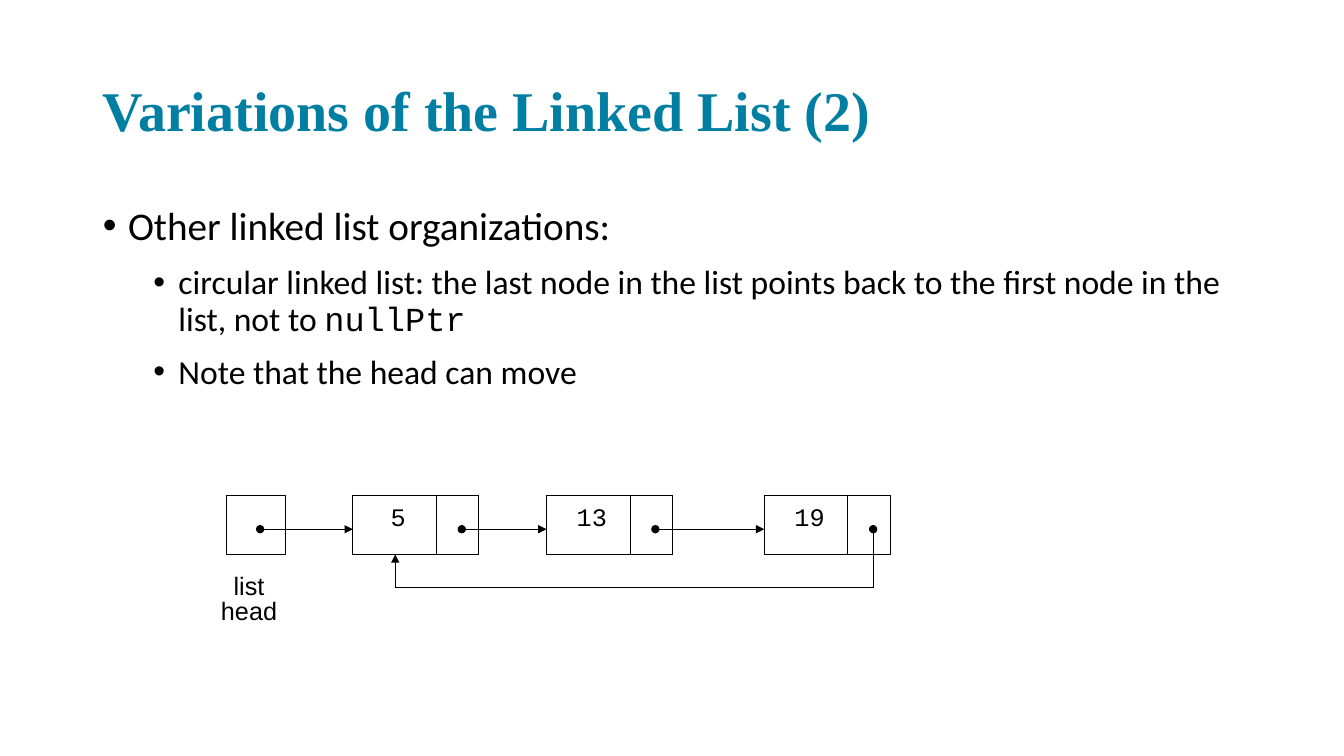
from dataclasses import dataclass

from lxml.etree import SubElement
from pptx import Presentation
from pptx.dml.color import RGBColor
from pptx.enum.shapes import MSO_CONNECTOR as Connector, MSO_SHAPE as Shape
from pptx.enum.text import MSO_ANCHOR as Anchor, MSO_AUTO_SIZE as AutoSize, PP_ALIGN as Align
from pptx.oxml.ns import qn
from pptx.util import Inches, Pt

COLORS = {"title": "007FA3", "ink": "000000"}
BOX_TOP, BOX_HEIGHT = 4.92, 0.58
NODE_WIDTH, POINTER_WIDTH = 1.25, 0.42
POINTER_Y, RETURN_Y = 5.25, 5.83


@dataclass(frozen=True)
class Node:
    """A list node: its value and left edge."""
    value: str
    left: float

    @property
    def pointer_x(self) -> float:
        """Return where the link to the next node starts."""
        return self.left + NODE_WIDTH - 0.17


@dataclass(frozen=True)
class Bullet:
    """A bulleted line with an optional code ending."""
    text: str
    level: int
    size: int
    code: str = ""


@dataclass(frozen=True)
class Link:
    """A line between two points with optional ends."""
    start: tuple[float, float]
    finish: tuple[float, float]
    head: str = ""
    tail: str = ""


NODES = [Node("5", 3.5), Node("13", 5.42), Node("19", 7.58)]
BULLETS = [
    Bullet("Other linked list organizations:", 0, 28),
    Bullet("circular linked list: the last node in the list points back to the "
           "first node in the list, not to ", 1, 24, "nullPtr"),
    Bullet("Note that the head can move", 1, 24),
]


def add_text(paragraph, text: str, *, font: str, size: float,
             color: str = "ink", bold: bool = False) -> None:
    """Append a formatted run to a paragraph."""
    run = paragraph.add_run()
    run.text = text
    run.font.name, run.font.size, run.font.bold = font, Pt(size), bold
    run.font.color.rgb = RGBColor.from_string(COLORS[color])


def place(shape, left: float, top: float, width: float, height: float) -> None:
    """Move and resize a placeholder."""
    shape.left, shape.top = Inches(left), Inches(top)
    shape.width, shape.height = Inches(width), Inches(height)


def add_title(slide) -> None:
    """Fill the title placeholder."""
    title = slide.shapes.title
    place(title, 0.92, 0.4, 11.5, 1.45)
    frame = title.text_frame
    frame.vertical_anchor, frame.auto_size = Anchor.MIDDLE, AutoSize.NONE
    paragraph = frame.paragraphs[0]
    paragraph.alignment, paragraph.line_spacing = Align.LEFT, 0.9
    add_text(paragraph, "Variations of the Linked List (2)",
             font="Times New Roman", size=40, color="title", bold=True)


def add_bullets(slide) -> None:
    """Fill the body placeholder with the bulleted list."""
    body = slide.placeholders[1]
    place(body, 0.92, 2, 11.5, 4.76)
    frame = body.text_frame
    frame.auto_size = AutoSize.NONE
    for index, bullet in enumerate(BULLETS):
        paragraph = frame.add_paragraph() if index else frame.paragraphs[0]
        paragraph.level, paragraph.line_spacing = bullet.level, 0.9
        paragraph.space_before = Pt(bullet.size / 2 if index else 0)
        properties = paragraph._p.get_or_add_pPr()
        properties.set("marL", str(Inches(0.25 + 0.5 * bullet.level)))
        properties.set("indent", str(Inches(-0.25)))
        SubElement(properties, qn("a:buFont"), typeface="Arial")
        SubElement(properties, qn("a:buChar"), char="•")
        add_text(paragraph, bullet.text, font="Calibri", size=bullet.size)
        if bullet.code:
            add_text(paragraph, bullet.code, font="Courier New", size=bullet.size)


def add_box(slide, left: float, width: float) -> None:
    """Draw one outlined box of the diagram."""
    box = slide.shapes.add_shape(Shape.RECTANGLE, Inches(left), Inches(BOX_TOP),
                                 Inches(width), Inches(BOX_HEIGHT))
    box.shadow.inherit = False
    box.fill.background()
    box.line.color.rgb = RGBColor.from_string(COLORS["ink"])
    box.line.width = Pt(0.75)


def add_label(slide, lines: list[str], center: float, top: float, width: float,
              height: float, *, font: str, spacing: float = 1.0) -> None:
    """Add a centred label without wrapping."""
    label = slide.shapes.add_textbox(Inches(center - width / 2), Inches(top),
                                     Inches(width), Inches(height))
    frame = label.text_frame
    frame.word_wrap, frame.auto_size = False, AutoSize.SHAPE_TO_FIT_TEXT
    for index, line in enumerate(lines):
        paragraph = frame.add_paragraph() if index else frame.paragraphs[0]
        paragraph.alignment, paragraph.line_spacing = Align.CENTER, spacing
        add_text(paragraph, line, font=font, size=18)


def add_link(slide, link: Link) -> None:
    """Draw a link with its line ends."""
    points = [Inches(value) for value in (*link.start, *link.finish)]
    connector = slide.shapes.add_connector(Connector.STRAIGHT, *points)
    connector.line.color.rgb = RGBColor.from_string(COLORS["ink"])
    connector.line.width = Pt(0.75)
    line = connector.line._ln
    for tag, kind in (("a:headEnd", link.head), ("a:tailEnd", link.tail)):
        if kind:
            SubElement(line, qn(tag), type=kind)
    SubElement(connector._element.spPr, qn("a:effectLst"))


def add_diagram(slide) -> None:
    """Draw the circular list with its head pointer."""
    add_box(slide, 2.25, BOX_HEIGHT)
    add_label(slide, ["list", "head"], 2.47, 5.67, 0.76, 0.59, font="Arial", spacing=0.8)
    for node in NODES:
        add_box(slide, node.left, NODE_WIDTH)
        add_box(slide, node.left + NODE_WIDTH - POINTER_WIDTH, POINTER_WIDTH)
        add_label(slide, [node.value], node.left + 0.45, BOX_TOP, 0.5, 0.4,
                  font="Courier New")
    starts = [2.58] + [node.pointer_x for node in NODES[:-1]]
    links = [Link((start, POINTER_Y), (node.left, POINTER_Y), "oval", "triangle")
             for start, node in zip(starts, NODES)]
    last_x, first_x = NODES[-1].pointer_x, NODES[0].left + 0.42
    links += [
        Link((last_x, POINTER_Y), (last_x, RETURN_Y), head="oval"),
        Link((last_x, RETURN_Y), (first_x, RETURN_Y)),
        Link((first_x, RETURN_Y), (first_x, BOX_TOP + BOX_HEIGHT), tail="triangle"),
    ]
    for link in links:
        add_link(slide, link)


def main() -> None:
    """Build and save the slide."""
    presentation = Presentation()
    presentation.slide_width, presentation.slide_height = Inches(13.33), Inches(7.5)
    slide = presentation.slides.add_slide(presentation.slide_layouts[1])
    add_title(slide)
    add_bullets(slide)
    add_diagram(slide)
    presentation.save("out.pptx")


if __name__ == "__main__":
    main()
